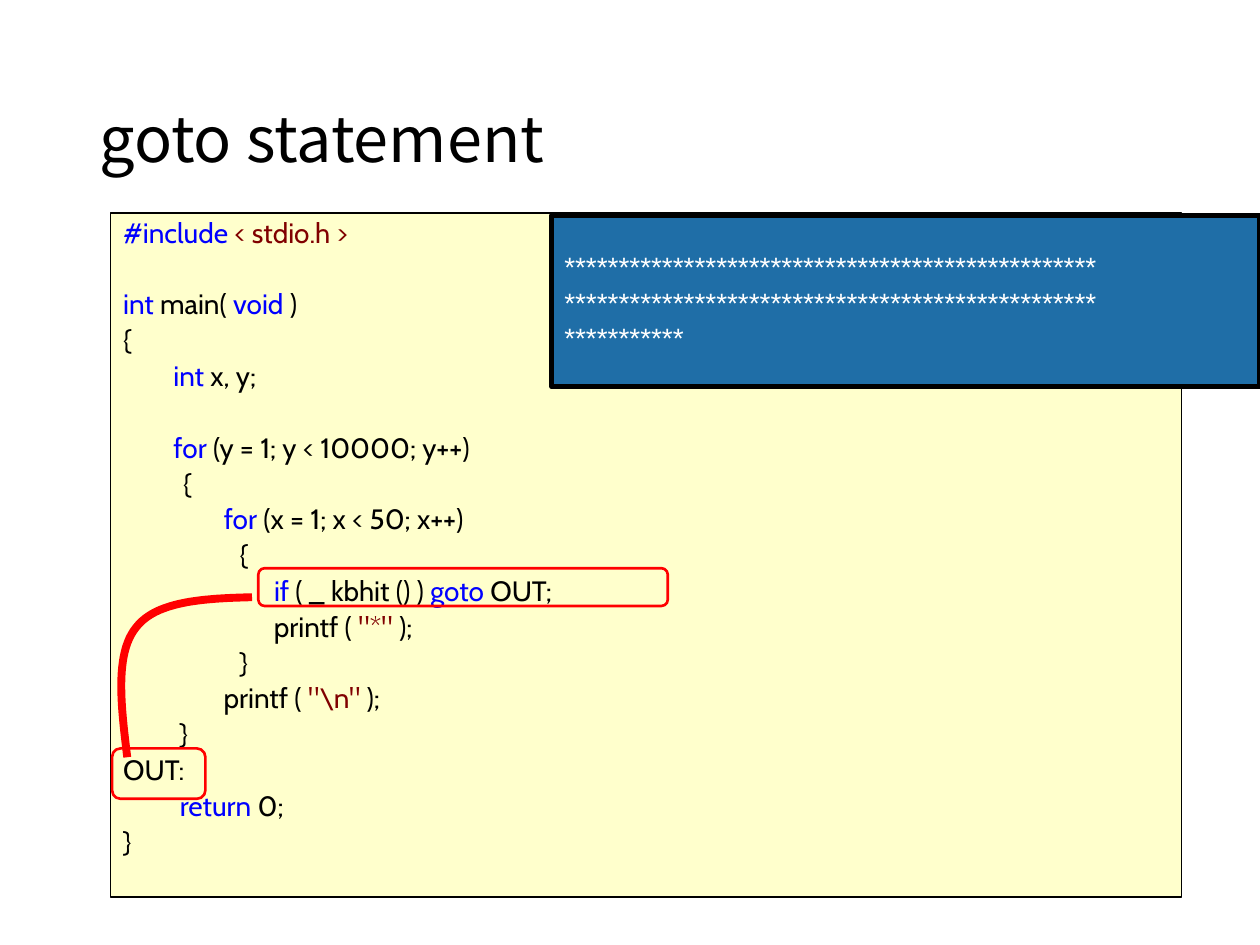
"""Build the slide about the goto statement."""
from dataclasses import dataclass
from typing import NamedTuple

from pptx import Presentation, util as u
from pptx.dml.color import RGBColor
from pptx.enum import shapes, text

WIDTH, HEIGHT = u.Inches(10), u.Inches(7.5)
COLUMNS, ROWS = 100, 75


@dataclass(frozen=True)
class Theme:
    """Colours, fonts and type sizes."""
    ink: str = "000000"
    keyword: str = "0000FF"
    literal: str = "800000"
    paper: str = "FFFFCC"
    console: str = "1F6EA7"
    light: str = "FFFFFF"
    mark: str = "FF0000"
    title_font: str = "Noto Sans CJK KR"
    code_font: str = "Cabin"
    console_font: str = "Arial"
    title_size: int = 36
    body_size: int = 16


class Area(NamedTuple):
    """Columns and rows of the slide grid."""
    left: float
    top: float
    width: float
    height: float


class Span(NamedTuple):
    """A piece of text in one colour."""
    words: str
    colour: str


class Line(NamedTuple):
    """A line of code, with the gap in points above it."""
    spans: tuple
    gap: float = 3.2


class Panel(NamedTuple):
    """A box with its outline and optional fill."""
    area: Area
    kind: shapes.MSO_SHAPE
    line: str
    weight: float
    fill: str | None = None


THEME = Theme()
SECTION_GAP = 23.7
INDENT = " " * 8


def plain(words: str) -> Span:
    """Return ordinary code."""
    return Span(words, THEME.ink)


def key(words: str) -> Span:
    """Return a keyword."""
    return Span(words, THEME.keyword)


def literal(words: str) -> Span:
    """Return a literal."""
    return Span(words, THEME.literal)


CODE = (
    Line((key("#include "), literal("< stdio.h >")), 0),
    Line((key("int "), plain("main( "), key("void "), plain(")")), SECTION_GAP),
    Line((plain("{"),)),
    Line((plain(INDENT), key("int "), plain("x, y;"))),
    Line((plain(INDENT), key("for "), plain("(y = 1; y < 10000; y++)")), SECTION_GAP),
    Line((plain("\t  {"),)),
    Line((plain(INDENT * 2), key("for "), plain("(x = 1; x < 50; x++)"))),
    Line((plain("\t\t {"),)),
    Line((plain(INDENT * 3), key("if "), plain("( _ kbhit () ) "),
          key("goto "), plain("OUT;"))),
    Line((plain(INDENT * 3 + "printf ( "), literal('"*" '), plain(");"))),
    Line((plain("\t\t }"),)),
    Line((plain(INDENT * 2 + "printf ( "), literal(r'"\n" '), plain(");"))),
    Line((plain(" " * 9 + "}"),)),
    Line((plain("OUT:"),)),
    Line((plain(" " * 9), key("return "), plain("0;"))),
    Line((plain("}"),)),
)
OUTPUT = tuple(Line((Span("*" * count, THEME.light),), 0) for count in (49, 49, 11))

LISTING = Panel(Area(8.8, 16.9, 85, 54.3), shapes.MSO_SHAPE.RECTANGLE,
                THEME.ink, 0.75, THEME.paper)
MARKS = tuple(Panel(area, shapes.MSO_SHAPE.ROUNDED_RECTANGLE, THEME.mark, 1.5)
              for area in (Area(20.5, 45.1, 32.5, 3), Area(8.9, 59.4, 7.4, 4)))
CONSOLE = Panel(Area(43.8, 17.1, 56.2, 13.6), shapes.MSO_SHAPE.RECTANGLE,
                THEME.ink, 3, THEME.console)
JUMP = (((20, 47.4), (16.2, 47.5), (12.4, 47.7), (10.8, 49.8)),
        ((10.8, 49.8), (9.1, 51.9), (9.6, 56), (10.1, 60.1)))


def across(columns: float) -> int:
    """Turn columns into a length."""
    return round(columns * WIDTH / COLUMNS)


def down(rows: float) -> int:
    """Turn rows into a length."""
    return round(rows * HEIGHT / ROWS)


def place(area: Area) -> tuple:
    """Turn an area into slide lengths."""
    return across(area.left), down(area.top), across(area.width), down(area.height)


def apply(target, values: dict) -> None:
    """Set each named attribute on the target."""
    for name, value in values.items():
        setattr(target, name, value)


def outline(shape, colour: str, weight: float) -> None:
    """Give a shape a plain line and no shadow."""
    shape.shadow.inherit = False
    shape.line.color.rgb = RGBColor.from_string(colour)
    shape.line.width = u.Pt(weight)


def draw_panel(page, panel: Panel):
    """Draw a panel and return its shape."""
    box = page.shapes.add_shape(panel.kind, *place(panel.area))
    outline(box, panel.line, panel.weight)
    if panel.fill:
        box.fill.solid()
        box.fill.fore_color.rgb = RGBColor.from_string(panel.fill)
    else:
        box.fill.background()
    return box


def write(box, lines: tuple, font: str, size: int, spacing: float,
          anchor: text.MSO_ANCHOR, hang: float = 0) -> None:
    """Write coloured lines into a shape."""
    frame = box.text_frame
    apply(frame, {"word_wrap": True, "vertical_anchor": anchor,
                  "auto_size": text.MSO_AUTO_SIZE.NONE})
    for index, line in enumerate(lines):
        para = frame.add_paragraph() if index else frame.paragraphs[0]
        apply(para, {"alignment": text.PP_ALIGN.LEFT, "line_spacing": spacing,
                     "space_before": u.Pt(line.gap)})
        if hang:
            properties = para._p.get_or_add_pPr()
            properties.set("marL", str(across(hang)))
            properties.set("indent", str(-across(hang)))
        for words, colour in line.spans:
            span = para.add_run()
            span.text = words
            apply(span.font, {"name": font, "size": u.Pt(size)})
            span.font.color.rgb = RGBColor.from_string(colour)


def curve_points(curve: tuple, steps: int = 24) -> list:
    """Return points along a cubic curve."""
    points = []
    for step in range(steps + 1):
        t = step / steps
        weights = ((1 - t) ** 3, 3 * t * (1 - t) ** 2, 3 * t ** 2 * (1 - t), t ** 3)
        x, y = (sum(w * v for w, v in zip(weights, axis)) for axis in zip(*curve))
        points.append((across(x), down(y)))
    return points


def draw_jump(page) -> None:
    """Draw the curve from the goto to its label."""
    first, *rest = [point for curve in JUMP for point in curve_points(curve)]
    builder = page.shapes.build_freeform(*first)
    builder.add_line_segments(rest, close=False)
    jump = builder.convert_to_shape()
    jump.fill.background()
    outline(jump, THEME.mark, 4.5)


def main() -> None:
    """Build and save the deck."""
    deck = Presentation()
    apply(deck, {"slide_width": WIDTH, "slide_height": HEIGHT})
    page = deck.slides.add_slide(deck.slide_layouts[5])
    title = page.shapes.title
    apply(title, dict(zip(("left", "top", "width", "height"),
                          place(Area(6.9, 4, 86.2, 14.5)))))
    write(title, (Line((plain("goto statement"),), 0),), THEME.title_font,
          THEME.title_size, 0.9, text.MSO_ANCHOR.MIDDLE)
    write(draw_panel(page, LISTING), CODE, THEME.code_font, THEME.body_size,
          0.9, text.MSO_ANCHOR.TOP, 3.75)
    for mark in MARKS:
        draw_panel(page, mark)
    write(draw_panel(page, CONSOLE), OUTPUT, THEME.console_font, THEME.body_size,
          1.05, text.MSO_ANCHOR.MIDDLE)
    draw_jump(page)
    deck.save("out.pptx")


if __name__ == "__main__":
    main()
